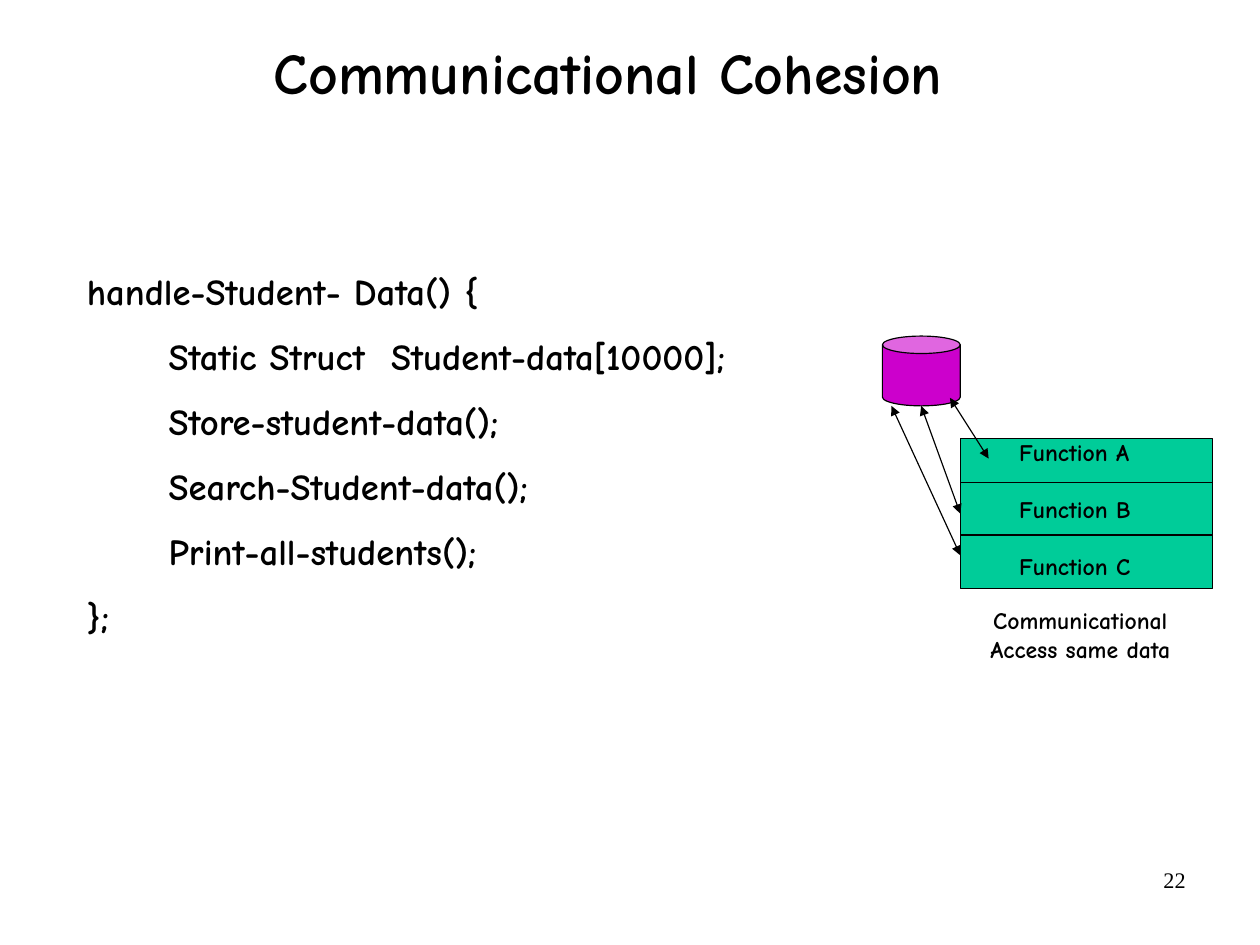
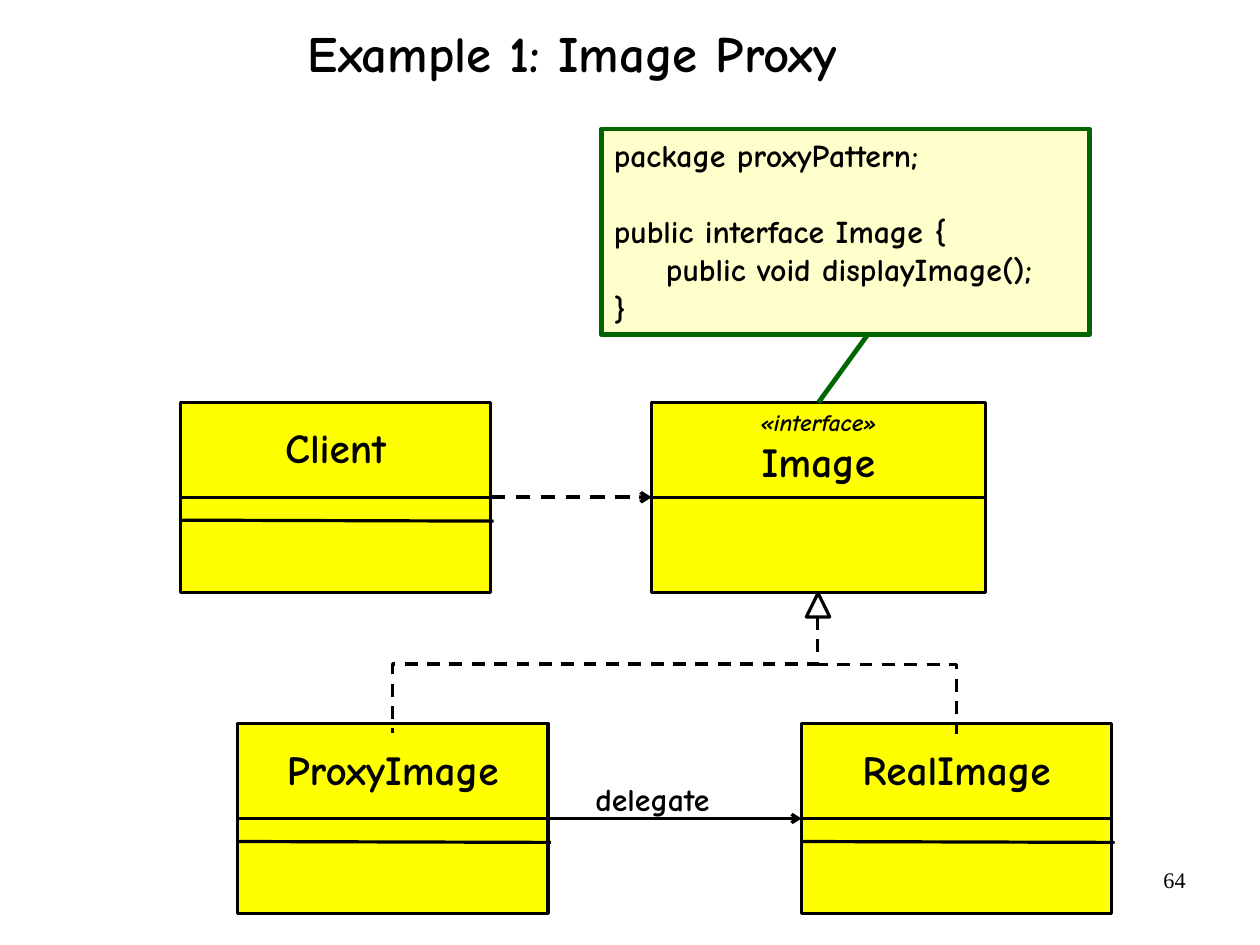
from lxml import etree
from pptx import Presentation
from pptx import util as u
from pptx.dml.color import RGBColor
from pptx.enum import dml, shapes, text
from pptx.oxml.ns import qn

Cm, Pt = u.Cm, u.Pt
SHAPE, CONN, ALIGN = shapes.MSO_SHAPE, shapes.MSO_CONNECTOR, text.PP_ALIGN
FONT, NUMBER_FONT = "Comic Neue", "Times New Roman"
C = {k: RGBColor.from_string(v) for k, v in {
    "black": "000000", "white": "FFFFFF", "teal": "00CC99", "purple": "CC00CC",
    "yellow": "FFFF00", "green": "006600", "cream": "FFFFCC"}.items()}


def add_box(s, at, lines=(), size=20, align=ALIGN.LEFT, kind=None, fill="white",
            edge="black", weight=2.0, inset=(0.25, 0.13), indent=0, font=FONT):
    """Text box, or preset shape if kind is given; a leading tab indents a line."""
    at = [Cm(v) for v in at]
    if kind is None:
        sp = s.shapes.add_textbox(*at)
    else:
        sp = s.shapes.add_shape(kind, *at)
        sp.shadow.inherit = False
        sp.fill.solid()
        sp.fill.fore_color.rgb = C[fill]
        sp.line.color.rgb = C[edge]
        sp.line.width = Pt(weight)
    tf = sp.text_frame
    tf.word_wrap = True
    tf.vertical_anchor = text.MSO_ANCHOR.TOP
    tf.margin_left = tf.margin_right = Cm(inset[0])
    tf.margin_top = tf.margin_bottom = Cm(inset[1])
    for i, line in enumerate(lines):
        p = tf.paragraphs[0] if i == 0 else tf.add_paragraph()
        p.text = line.lstrip("\t")
        p.alignment = align
        if line.startswith("\t"):
            p._p.get_or_add_pPr().set("marL", str(Cm(indent)))
        f = p.runs[0].font
        f.name, f.size, f.bold = font, Pt(size), font == FONT
        f.color.rgb = C["black"]
    return sp


def add_line(s, x1, y1, x2, y2, weight=2.0, color="black", dash=False,
             head=None, tail=None, kind=CONN.STRAIGHT):
    cx = s.shapes.add_connector(kind, Cm(x1), Cm(y1), Cm(x2), Cm(y2))
    cx.line.color.rgb = C[color]
    cx.line.width = Pt(weight)
    if dash:
        cx.line.dash_style = dml.MSO_LINE.DASH
    spPr = cx._element.spPr
    ln = spPr.find(qn("a:ln"))
    for tag, end in (("a:headEnd", head), ("a:tailEnd", tail)):
        if end:
            etree.SubElement(ln, qn(tag)).set("type", end)
    etree.SubElement(spPr, qn("a:effectLst"))
    return cx


prs = Presentation()
prs.slide_width, prs.slide_height = Cm(28), Cm(21)

# Shared parts: title and page number
slides = []
for title, size, at, inset, spacing, number in (
        ("Communicational Cohesion", 36.4, (4.06, 0.69, 18.9, 2.62), (0.25, 0.13), 1, "22"),
        ("Example 1: Image Proxy", 32, (1.02, 0.66, 23.42, 3.48), (0, 0), 0.88, "64")):
    s = prs.slides.add_slide(prs.slide_layouts[6])
    add_box(s, (20.07, 19.13, 6.53, 1.45), [number], 14, ALIGN.RIGHT, font=NUMBER_FONT)
    sp = add_box(s, at, [title], size, ALIGN.CENTER, inset=inset)
    sp.text_frame.paragraphs[0].line_spacing = spacing
    slides.append(s)

# Slide 1: code
s = slides[0]
sp = add_box(s, (1.93, 5.82, 17.6, 9), [
    "handle-Student- Data() {", "\tStatic Struct  Student-data[10000];",
    "\tStore-student-data();", "\tSearch-Student-data();",
    "\tPrint-all-students();", "};"], 23.1, inset=(0, 0), indent=1.82)
for i, p in enumerate(sp.text_frame.paragraphs):
    p.line_spacing = 1.15
    p.space_before = Pt(4.6 if i else 0)
    p.space_after = Pt(4.6)

# Slide 1: functions sharing one data store
module = add_box(s, (21.34, 9.75, 5.61, 3.33), kind=SHAPE.RECTANGLE, fill="teal", weight=0.75)
for y in (10.72, 11.89):
    add_line(s, 21.34, y, 26.95, y, 0.75)
sp = add_box(s, (22.4, 9.6, 3.23, 3.43), ["Function " + n for n in "ABC"], 14.9)
for p in sp.text_frame.paragraphs[1:]:
    p.space_before = Pt(18)
add_box(s, (21.06, 13.34, 5.89, 1.52), ["Communicational", "Access same data"],
        14.9, ALIGN.CENTER)
add_box(s, (19.61, 7.47, 1.73, 1.55), kind=SHAPE.CAN, fill="purple", weight=0.75)
arrows = [add_line(s, *ends, 0.75, head="triangle", tail="triangle") for ends in (
    (20.47, 9.02, 21.34, 11.41), (21.11, 8.84, 21.97, 10.19), (19.81, 9.02, 21.34, 12.34))]
arrows[0].end_connect(module, 1)

# Slide 2: class boxes
s = slides[1]
H = 4.22
classes = {}
for name, x, y, w in (("Client", 4.01, 8.94, 6.9), ("Image", 14.48, 8.94, 7.42),
                      ("ProxyImage", 5.28, 16.08, 6.9), ("RealImage", 17.81, 16.08, 6.9)):
    interface = name == "Image"
    sp = add_box(s, (x, y, w, H), ["«interface»", name] if interface else [name], 26,
                 ALIGN.CENTER, SHAPE.RECTANGLE, "yellow",
                 inset=(0.25, 0.13 if interface else 0.45))
    add_line(s, x, y + H / 2, x + w, y + H / 2)
    if interface:
        f = sp.text_frame.paragraphs[0].runs[0].font
        f.size, f.italic = Pt(15), True
    else:
        add_line(s, x, y + 2.62, x + w + 0.06, y + 2.64)
    classes[name] = sp

# Slide 2: use and delegation
for a, b, weight, dash in (("Client", "Image", 2.25, True),
                           ("ProxyImage", "RealImage", 2, False)):
    cx = add_line(s, 0, 0, 1, 1, weight, dash=dash, tail="arrow")
    cx.begin_connect(classes[a], 3)
    cx.end_connect(classes[b], 1)
add_box(s, (12.95, 17.17, 3.45, 1.14), ["delegate"], inset=(0.28, 0.15))

# Slide 2: inheritance, one elbow turned to start downwards and one with a single bend
cx = add_line(s, 11.91, 10.03, 14.99, 19.48, dash=True, kind=CONN.ELBOW)
cx.left, cx.top, cx.width, cx.height = Cm(11.91), Cm(10.03), Cm(3.08), Cm(9.45)
cx._element.spPr.find(qn("a:xfrm")).set("rot", "5400000")
cx = add_line(s, 18.11, 14.76, 21.26, 16.31, dash=True, kind=CONN.ELBOW)
cx._element.spPr.find(qn("a:prstGeom")).set("prst", "bentConnector2")
add_box(s, (17.92, 13.18, 0.52, 0.53), kind=SHAPE.ISOSCELES_TRIANGLE)

# Slide 2: code note
cx = add_line(s, 19.28, 7.44, 18.19, 8.94, 3, "green")
cx.end_connect(classes["Image"], 0)
sp = add_box(s, (13.36, 2.87, 10.85, 4.57), [
    "package proxyPattern;", "public interface Image {",
    "\tpublic void displayImage();", "}"], kind=SHAPE.RECTANGLE, fill="cream",
    edge="green", weight=3, inset=(0.28, 0.15), indent=1.16)
sp.text_frame.paragraphs[1].space_before = Pt(24)

prs.save("out.pptx")
